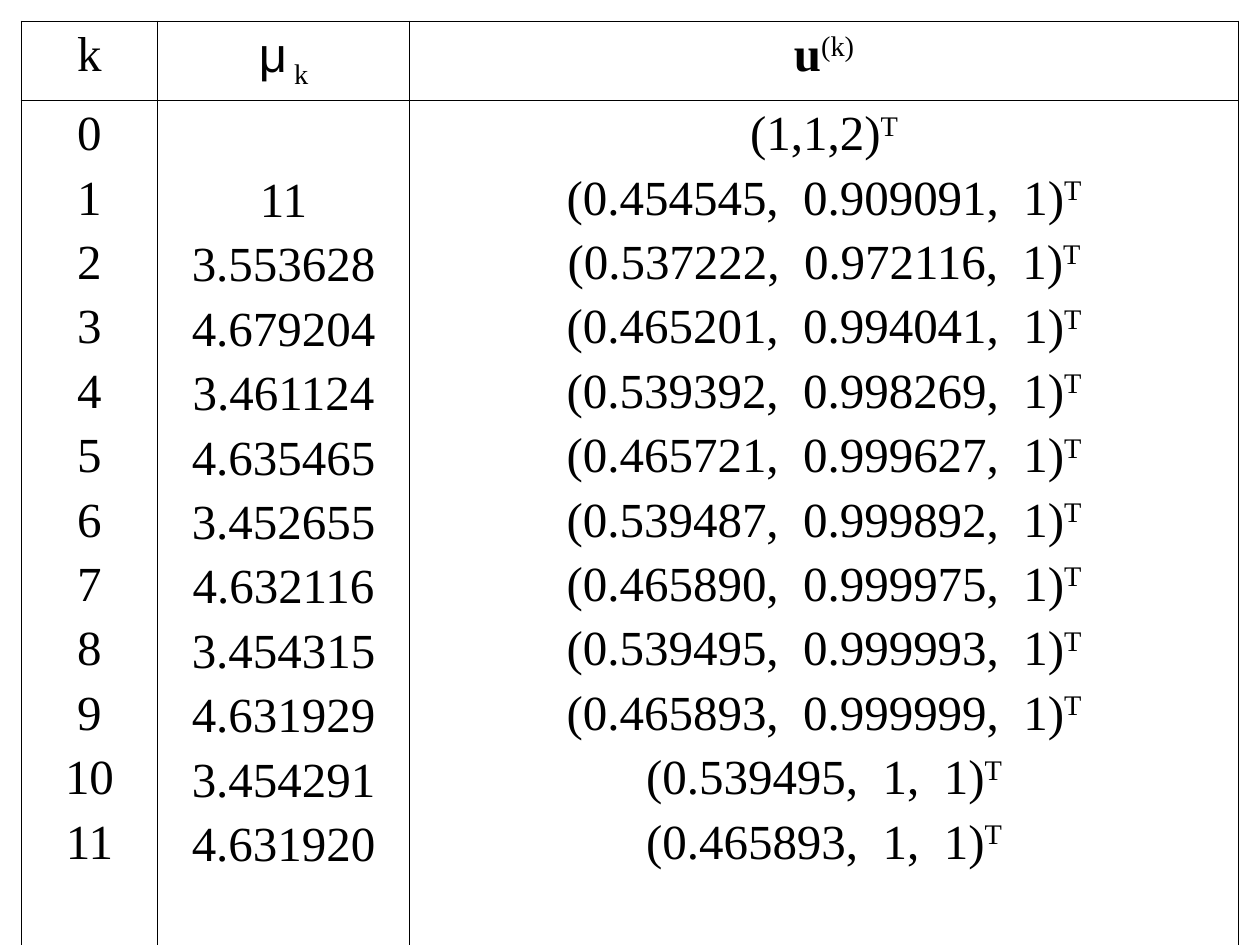
"""Build the table of power iteration steps."""
from lxml import etree
from pptx import Presentation
from pptx.dml.color import RGBColor
from pptx.enum.text import PP_ALIGN
from pptx.oxml.ns import qn
from pptx.util import Inches, Pt

BLACK = RGBColor(0, 0, 0)
SERIF, SANS = "Times New Roman", "Arial"
SUBSCRIPT, SUPERSCRIPT = -25000, 30000
OUTER, INNER = Pt(1.08), Pt(0.45)
MARGIN, LINE_PITCH = 0.05, 0.53
COLUMN_WIDTHS = [1.08, 2, 6.58]
ROW_HEIGHTS = [0.63, 6.78]

EIGENVALUES = [
    "11", "3.553628", "4.679204", "3.461124", "4.635465", "3.452655",
    "4.632116", "3.454315", "4.631929", "3.454291", "4.631920",
]
VECTORS = [
    "(1,1,2)",
    "(0.454545,  0.909091,  1)",
    "(0.537222,  0.972116,  1)",
    "(0.465201,  0.994041,  1)",
    "(0.539392,  0.998269,  1)",
    "(0.465721,  0.999627,  1)",
    "(0.539487,  0.999892,  1)",
    "(0.465890,  0.999975,  1)",
    "(0.539495,  0.999993,  1)",
    "(0.465893,  0.999999,  1)",
    "(0.539495,  1,  1)",
    "(0.465893,  1,  1)",
]
HEADINGS = [
    [("k", {})],
    [("\u03bc", {"font": SANS}), (" k", {"baseline": SUBSCRIPT})],
    [("u", {"bold": True}), ("(k)", {"baseline": SUPERSCRIPT})],
]
BODY = [
    [[(str(step), {})] for step in range(len(VECTORS))],
    [[(value, {})] for value in EIGENVALUES],
    [[(vector, {}), ("T", {"baseline": SUPERSCRIPT})] for vector in VECTORS],
]
ROWS = [[[heading] for heading in HEADINGS], BODY]


def add_text(paragraph, text, font=SERIF, size=28, bold=False, baseline=0):
    run = paragraph.add_run()
    run.text = text
    run.font.name = font
    run.font.size = Pt(size)
    run.font.bold = bold
    run.font.color.rgb = BLACK
    if baseline:
        run.font._element.set("baseline", str(baseline))


def fill_cell(cell, lines):
    cell.margin_top = cell.margin_bottom = Inches(MARGIN)
    cell.margin_left = cell.margin_right = Inches(0.1)
    frame = cell.text_frame
    for index, runs in enumerate(lines):
        paragraph = frame.add_paragraph() if index else frame.paragraphs[0]
        paragraph.alignment = PP_ALIGN.CENTER
        paragraph.space_before = Pt(5.8)
        for text, style in runs:
            add_text(paragraph, text, **style)


def set_borders(cell, widths):
    properties = cell._tc.get_or_add_tcPr()
    for side, width in widths.items():
        line = etree.SubElement(properties, qn(f"a:ln{side}"), w=str(width))
        fill = etree.SubElement(line, qn("a:solidFill"))
        etree.SubElement(fill, qn("a:srgbClr"), val=str(BLACK))
    cell.fill.background()


presentation = Presentation()
presentation.slide_width, presentation.slide_height = Inches(10), Inches(7.5)
slide = presentation.slides.add_slide(presentation.slide_layouts[6])

last_row, last_column = len(ROW_HEIGHTS) - 1, len(COLUMN_WIDTHS) - 1
table = slide.shapes.add_table(
    len(ROW_HEIGHTS), len(COLUMN_WIDTHS), Inches(0.17), Inches(0.17),
    Inches(sum(COLUMN_WIDTHS)), Inches(sum(ROW_HEIGHTS)),
).table
table.first_row = table.horz_banding = False
for column, width in zip(table.columns, COLUMN_WIDTHS):
    column.width = Inches(width)
for row, height in zip(table.rows, ROW_HEIGHTS):
    row.height = Inches(height)

for row_index, row in enumerate(ROWS):
    for column_index, lines in enumerate(row):
        cell = table.cell(row_index, column_index)
        fill_cell(cell, lines)
        set_borders(cell, {
            "L": INNER if column_index else OUTER,
            "R": OUTER if column_index == last_column else INNER,
            "T": INNER if row_index else OUTER,
            "B": OUTER if row_index == last_row else INNER,
        })

skipped_lines = len(VECTORS) - len(EIGENVALUES)
table.cell(1, 1).margin_top = Inches(MARGIN + skipped_lines * LINE_PITCH)

presentation.save("out.pptx")
